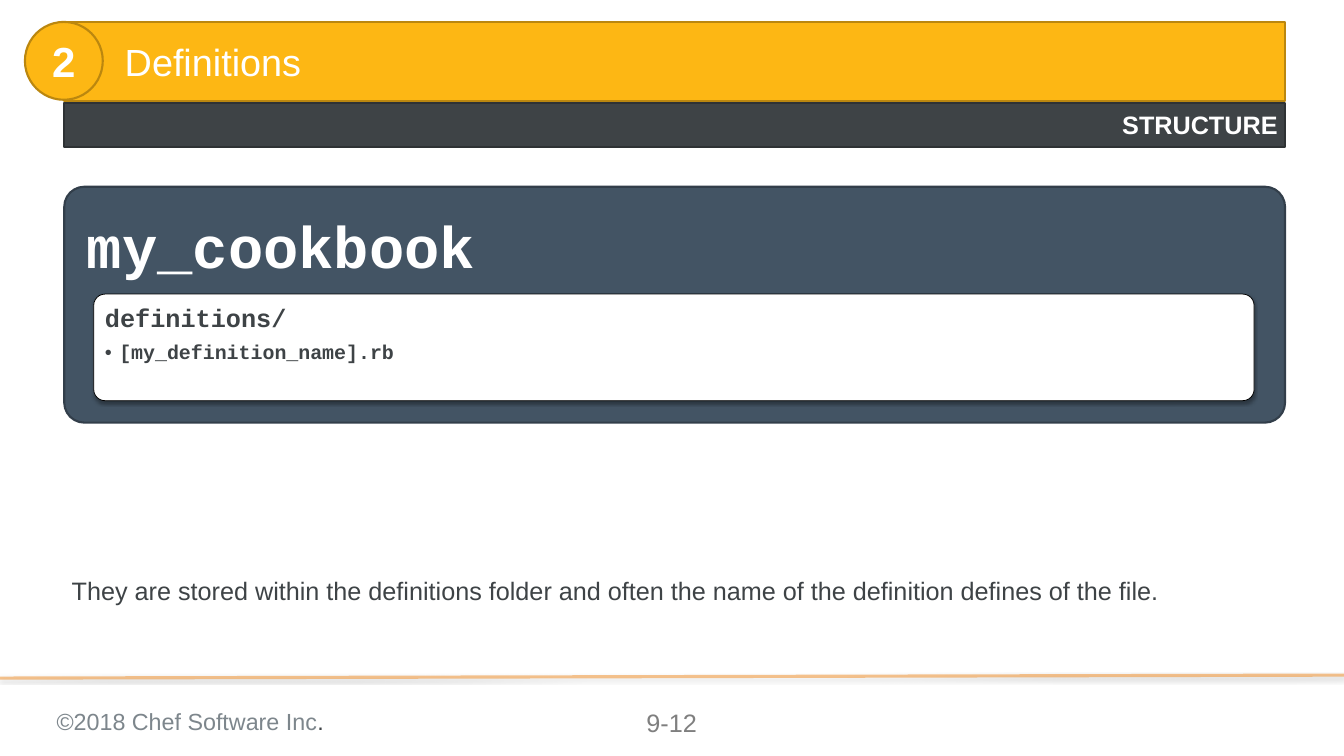
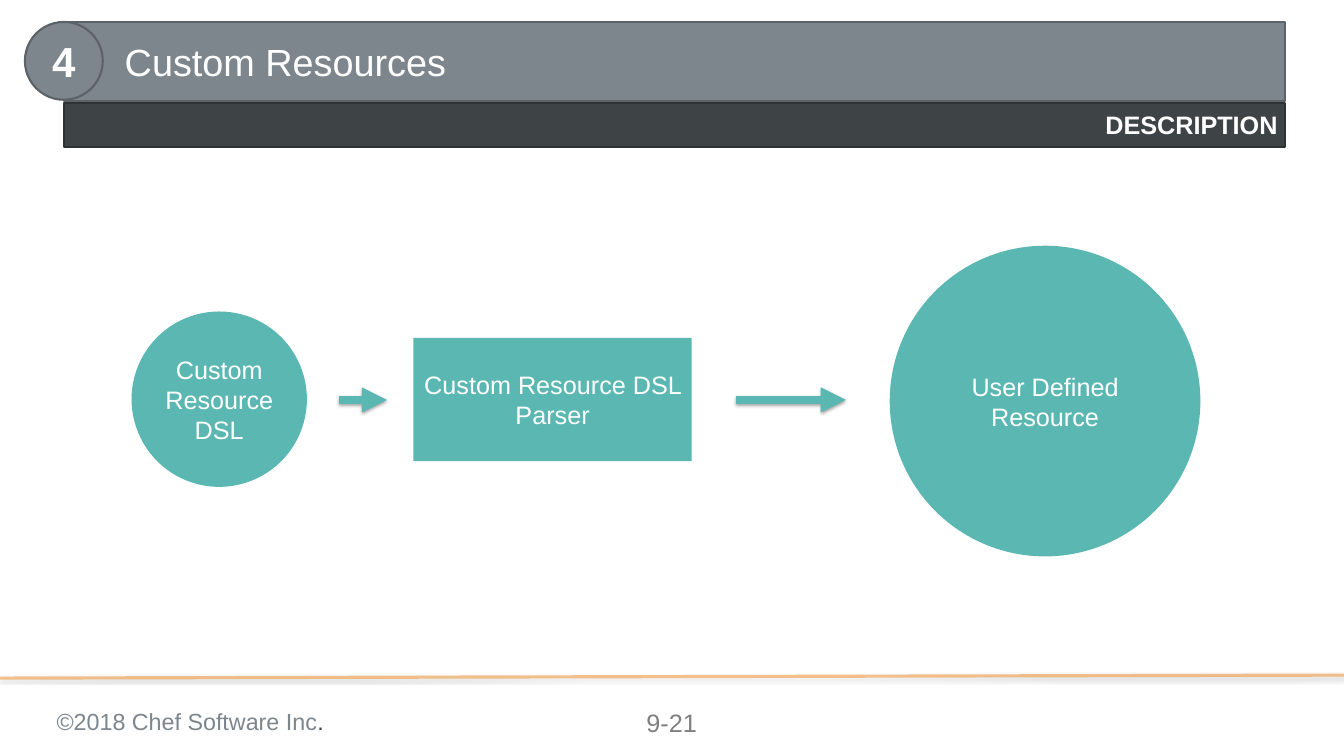
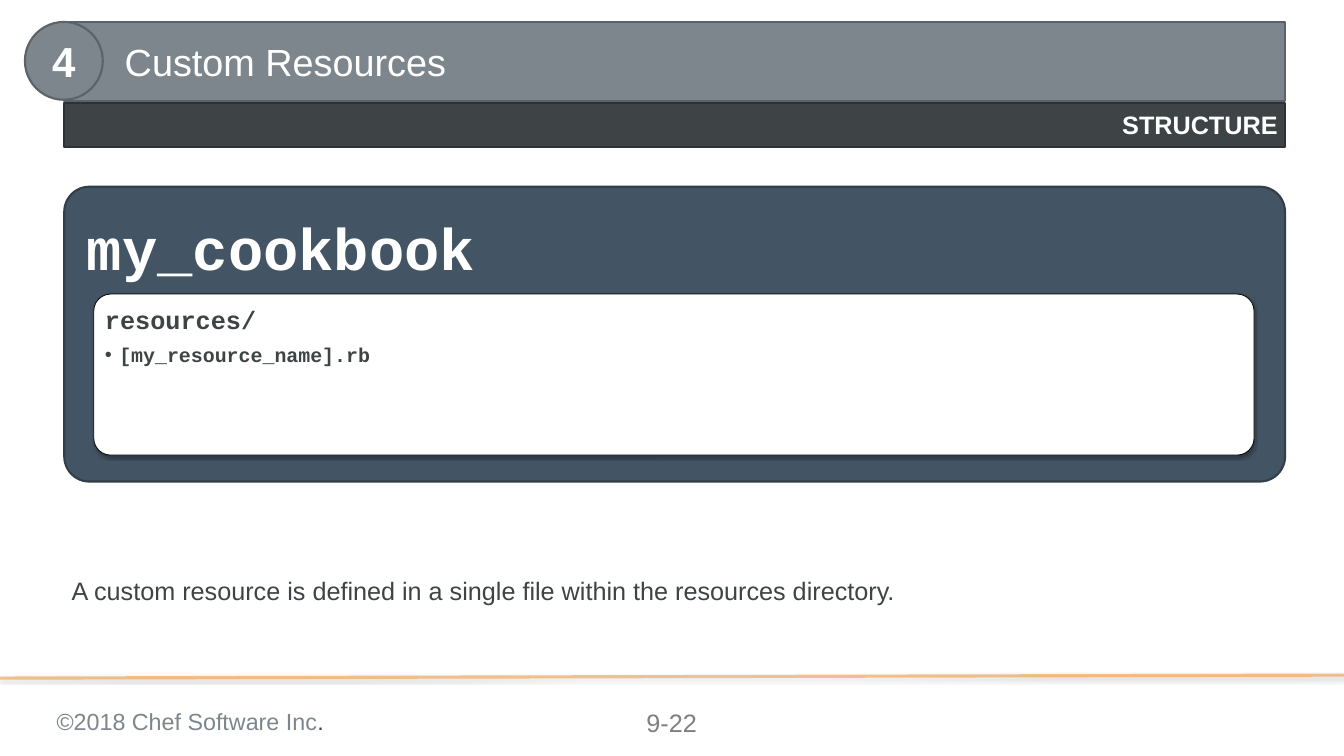
from dataclasses import dataclass

from lxml import etree
from pptx import Presentation
from pptx.dml.color import RGBColor
from pptx.enum.shapes import MSO_CONNECTOR, MSO_SHAPE
from pptx.enum.text import MSO_ANCHOR, PP_ALIGN
from pptx.oxml import parse_xml
from pptx.oxml.ns import nsdecls, qn
from pptx.util import Inches, Pt

RECTANGLE = MSO_SHAPE.RECTANGLE
ROUNDED = MSO_SHAPE.ROUNDED_RECTANGLE
OVAL = MSO_SHAPE.OVAL
STRAIGHT = MSO_CONNECTOR.STRAIGHT
LEFT, CENTER, RIGHT = PP_ALIGN.LEFT, PP_ALIGN.CENTER, PP_ALIGN.RIGHT
TOP, MIDDLE = MSO_ANCHOR.TOP, MSO_ANCHOR.MIDDLE


@dataclass(frozen=True)
class Theme:
    sans: str = "Arial"
    mono: str = "Courier New"
    white: str = "FFFFFF"
    black: str = "000000"
    dark: str = "3E4346"
    dark_edge: str = "2E3234"
    gray: str = "7D868C"
    gray_edge: str = "5C6368"
    yellow: str = "FDB714"
    yellow_edge: str = "BB870F"
    navy: str = "435464"
    navy_edge: str = "323E4A"
    teal: str = "5AB7B2"
    orange: str = "F18B21"
    page_gray: str = "7F7F7F"
    title: float = 36
    number: float = 40
    body: float = 24
    footer: float = 22.2
    folder: float = 56
    file: float = 19


theme = Theme()
LEFT_EDGE, BAND_WIDTH = 0.85, 16.15
BOX_INSETS = (0.1, 0.05, 0.1, 0.05)
TEXT_INSETS = (0.1, 0.1, 0.1, 0.1)
HEADING_INSETS = (0.23, 0.23, 0.23, 0.23)


def add_box(slide, at, text, size=theme.body, color=theme.white, kind=None,
            fill=None, edge=None, edge_width=2, align=LEFT, anchor=TOP,
            insets=TEXT_INSETS, font=theme.sans, bold=False):
    """Add a preset shape, or a plain text box when no kind is given."""
    at = [Inches(length) for length in at]
    if kind is None:
        shape = slide.shapes.add_textbox(*at)
    else:
        shape = slide.shapes.add_shape(kind, *at)
        shape.shadow.inherit = False
        shape.fill.solid()
        shape.fill.fore_color.rgb = RGBColor.from_string(fill)
        if edge:
            shape.line.color.rgb = RGBColor.from_string(edge)
            shape.line.width = Pt(edge_width)
        else:
            shape.line.fill.background()
    frame = shape.text_frame
    frame.word_wrap = True
    frame.vertical_anchor = anchor
    (frame.margin_left, frame.margin_top,
     frame.margin_right, frame.margin_bottom) = [Inches(inset) for inset in insets]
    frame.text = text
    for paragraph in frame.paragraphs:
        paragraph.alignment = align
        for run in paragraph.runs:
            run.font.name = font
            run.font.size = Pt(size)
            run.font.bold = bold
            run.font.color.rgb = RGBColor.from_string(color)
    return shape


def add_shadow(shape):
    """Give a shape or connector the soft shadow below it."""
    properties = shape._element.spPr
    for effects in properties.findall(qn("a:effectLst")):
        properties.remove(effects)
    properties.append(parse_xml(
        f'<a:effectLst {nsdecls("a")}><a:outerShdw blurRad="40000" dist="23000" '
        f'dir="5400000" rotWithShape="0"><a:srgbClr val="{theme.black}">'
        '<a:alpha val="35000"/></a:srgbClr></a:outerShdw></a:effectLst>'))


presentation = Presentation()
presentation.slide_width = Inches(17.78)
presentation.slide_height = Inches(10)

yellow_band = (theme.yellow, theme.yellow_edge)
gray_band = (theme.gray, theme.gray_edge)
headers = [
    ("2", "Definitions", "STRUCTURE", "9-12", yellow_band),
    ("4", "Custom Resources", "DESCRIPTION", "9-21", gray_band),
    ("4", "Custom Resources", "STRUCTURE", "9-22", gray_band),
]

# Shared parts: footer, title band, section number, subtitle band
slides = []
for number, title, subtitle, page, (fill, edge) in headers:
    slide = presentation.slides.add_slide(presentation.slide_layouts[6])
    slides.append(slide)

    rule = slide.shapes.add_connector(
        STRAIGHT, Inches(17.78), Inches(8.93), Inches(0), Inches(8.97))
    rule.line.color.rgb = RGBColor.from_string(theme.orange)
    rule.line.width = Pt(3)
    rule_color = rule.line._ln.find(".//" + qn("a:srgbClr"))
    etree.SubElement(rule_color, qn("a:alpha"), val="50000")
    add_shadow(rule)

    footer = add_box(slide, (0.65, 9.25, 5.9, 0.52), "©2018 Chef Software Inc",
                     theme.footer, theme.gray)
    period = footer.text_frame.paragraphs[0].add_run()
    period.text = "."
    period.font.name = theme.sans
    period.font.size = Pt(theme.footer)
    period.font.color.rgb = RGBColor.from_string(theme.dark)
    add_box(slide, (8.1, 9.25, 1.57, 0.57), page, color=theme.page_gray, align=CENTER)

    add_box(slide, (LEFT_EDGE, 0.29, BAND_WIDTH, 1.05), title, theme.title,
            kind=RECTANGLE, fill=fill, edge=edge, anchor=MIDDLE,
            insets=(0.8, 0.1, 0.1, 0.1))
    add_box(slide, (0.33, 0.29, 1.03, 1.03), number, theme.number, kind=OVAL,
            fill=fill, edge=edge, align=CENTER, anchor=MIDDLE,
            insets=BOX_INSETS, bold=True)
    add_box(slide, (LEFT_EDGE, 1.36, BAND_WIDTH, 0.58), subtitle, kind=RECTANGLE,
            fill=theme.dark, edge=theme.dark_edge, align=RIGHT, anchor=MIDDLE,
            insets=BOX_INSETS, bold=True)

definitions_slide, flow_slide, resources_slide = slides

# Structure slides: cookbook panel, folder card, explanation
# Each text area is given as its top and height
structures = [
    (definitions_slide, "definitions/", "[my_definition_name].rb",
     3.12, (2.55, 2.97), 1.41, (3.94, 1.32),
     "They are stored within the definitions folder and often the name of "
     "the definition defines of the file."),
    (resources_slide, "resources/", "[my_resource_name].rb",
     3.9, (2.57, 3.7), 2.13, (3.97, 2.23),
     "A custom resource is defined in a single file within the resources directory."),
]
for (slide, folder, file_name, panel_height, panel_text,
     card_height, card_text, explanation) in structures:
    panel = add_box(slide, (LEFT_EDGE, 2.47, BAND_WIDTH, panel_height), "",
                    kind=ROUNDED, fill=theme.navy, edge=theme.navy_edge)
    panel.adjustments[0] = 0.085
    add_box(slide, (0.92, panel_text[0], 16, panel_text[1]), "my_cookbook",
            theme.folder, insets=HEADING_INSETS, font=theme.mono, bold=True)

    card = add_box(slide, (1.24, 3.89, 15.35, card_height), "", kind=ROUNDED,
                   fill=theme.white, edge=theme.black, edge_width=0.75)
    card.adjustments[0] = 0.105
    add_shadow(card)

    listing = add_box(slide, (1.29, card_text[0], 15.26, card_text[1]),
                      f"{folder}\n{file_name}", color=theme.dark,
                      font=theme.mono, bold=True)
    folder_line, file_line = listing.text_frame.paragraphs
    file_properties = file_line._p.get_or_add_pPr()
    file_properties.set("marL", str(Inches(0.19)))
    file_properties.set("indent", str(-Inches(0.19)))
    etree.SubElement(file_properties, qn("a:buFont"), typeface=theme.sans)
    etree.SubElement(file_properties, qn("a:buChar"), char="•")
    file_line.level = 1
    file_line.runs[0].font.size = Pt(theme.file)
    folder_line.line_spacing = file_line.line_spacing = 0.9
    folder_line.space_after = Pt(9.5)

    add_box(slide, (LEFT_EDGE, 7.51, BAND_WIDTH, 1.19), explanation, color=theme.dark)

# Description slide: from the DSL through the parser to the resource
steps = [
    (OVAL, (1.74, 4.12, 2.32, 2.32), "Custom Resource DSL"),
    (RECTANGLE, (5.47, 4.47, 3.68, 1.63), "Custom Resource DSL Parser"),
    (OVAL, (11.77, 3.25, 4.11, 4.11), "User Defined Resource"),
]
for kind, at, text in steps:
    add_box(flow_slide, at, text, kind=kind, fill=theme.teal,
            align=CENTER, anchor=MIDDLE, insets=BOX_INSETS)

ARROW_Y = Inches(5.29)
for start, end in [(4.49, 5.12), (9.74, 11.19)]:
    arrow = flow_slide.shapes.add_connector(
        STRAIGHT, Inches(start), ARROW_Y, Inches(end), ARROW_Y)
    arrow.line.color.rgb = RGBColor.from_string(theme.teal)
    arrow.line.width = Pt(8)
    etree.SubElement(arrow.line._ln, qn("a:tailEnd"), type="triangle")
    add_shadow(arrow)

presentation.save("out.pptx")
